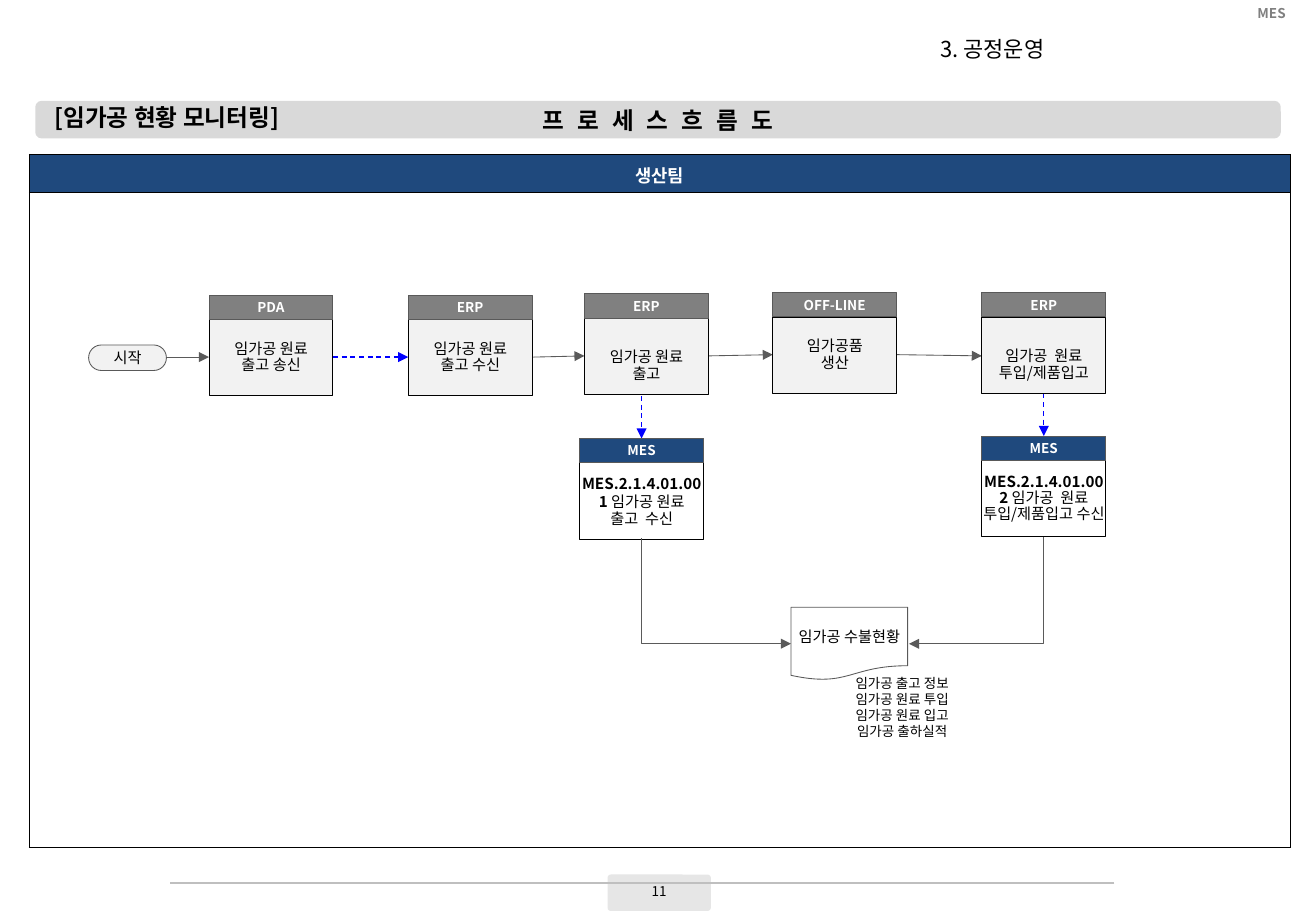
from dataclasses import dataclass
from typing import NamedTuple

from lxml.etree import SubElement
from pptx import Presentation
from pptx.dml.color import RGBColor
from pptx.enum.dml import MSO_LINE
from pptx.enum.shapes import MSO_CONNECTOR as Link, MSO_SHAPE as Preset
from pptx.enum.text import MSO_ANCHOR as Anchor, MSO_AUTO_SIZE, PP_ALIGN as Align
from pptx.oxml.ns import qn
from pptx.util import Pt

EMU_PER_PX = 9144  # 100 px to the inch


@dataclass(frozen=True)
class Theme:
    font: str = "Noto Sans CJK KR"
    black: str = "000000"
    white: str = "FFFFFF"
    navy: str = "1F497D"
    gray: str = "808080"
    pale: str = "F2F2F2"
    band: str = "D9D9D9"
    page_tab: str = "E6E6E6"
    rule: str = "BFBFBF"
    outline: str = "595959"
    arrow: str = "5A5A5A"
    signal: str = "0000FF"
    small: float = 8
    body: float = 9
    team: float = 10.5
    title: float = 13
    heading: float = 14


THEME = Theme()


class Box(NamedTuple):
    left: int
    top: int
    width: int
    height: int


class Step(NamedTuple):
    """A process card: system label above its description."""
    left: int
    top: int
    system: str
    lines: tuple[str, ...]
    code: str = ""
    first_spacing: float = 0.9
    inset_top: int = 5


class Arrow(NamedTuple):
    start: tuple[int, int]
    end: tuple[int, int]
    signal: bool = False


CARD_WIDTH, LABEL_HEIGHT, CARD_HEIGHT = 102, 20, 63

STEPS = [
    Step(172, 243, "PDA", ("임가공 원료", "출고 송신")),
    Step(336, 243, "ERP", ("임가공 원료", "출고 수신")),
    Step(481, 242, "ERP", ("임가공 원료", "출고"), inset_top=21),
    Step(636, 241, "OFF-LINE", ("임가공품", "생산")),
    Step(808, 241, "ERP", ("임가공  원료", "투입/제품입고"), inset_top=21),
    Step(477, 361, "MES", ("임가공 원료", "출고  수신"), "MES.2.1.4.01.001 ", 1.0),
    Step(808, 359, "MES", ("임가공  원료", "투입/제품입고 수신"), "MES.2.1.4.01.002 "),
]

ARROWS = [
    Arrow((137, 294), (172, 294)),
    Arrow((274, 294), (336, 294), signal=True),
    Arrow((439, 294), (481, 293)),
    Arrow((583, 293), (636, 292)),
    Arrow((738, 292), (808, 293)),
    Arrow((528, 326), (528, 361), signal=True),
    Arrow((859, 324), (859, 359), signal=True),
]

REPORT_ARROWS = [Arrow((528, 443), (651, 530)), Arrow((859, 442), (748, 530))]

REPORT_ITEMS = ("임가공 출고 정보", "임가공 원료 투입", "임가공 원료 입고", "임가공 출하실적")


def px(length: float) -> int:
    return round(length * EMU_PER_PX)


def rgb(color: str) -> RGBColor:
    return RGBColor.from_string(color)


def write_text(frame, *lines: str, size: float = THEME.body, color: str = THEME.black,
               bold: bool = False, align=Align.CENTER, anchor=Anchor.MIDDLE,
               margins: tuple[int, int, int, int] = (10, 5, 10, 5), wrap: bool = True,
               spacing: float | None = None, first_spacing: float | None = None,
               code: str = "", tracking: int = 0) -> None:
    frame.auto_size = MSO_AUTO_SIZE.NONE
    frame.word_wrap = wrap
    frame.vertical_anchor = anchor
    (frame.margin_left, frame.margin_top,
     frame.margin_right, frame.margin_bottom) = map(px, margins)
    for index, line in enumerate(lines):
        paragraph = frame.add_paragraph() if index else frame.paragraphs[0]
        paragraph.alignment = align
        paragraph.line_spacing = spacing if index else first_spacing or spacing
        parts = [(line, bold)]
        if code and index == 0:
            parts.insert(0, (code, True))
        for text, is_bold in parts:
            run = paragraph.add_run()
            run.text = text
            run.font.size, run.font.bold, run.font.name = Pt(size), is_bold, THEME.font
            run.font.color.rgb = rgb(color)
            properties = run._r.get_or_add_rPr()
            SubElement(properties, qn("a:ea"), typeface=THEME.font)
            if tracking:
                properties.set("spc", str(tracking))


def add_box(slide, preset, box: Box, fill: str, line: str | None = None):
    shape = slide.shapes.add_shape(preset, *map(px, box))
    shape.shadow.inherit = False
    shape.fill.solid()
    shape.fill.fore_color.rgb = rgb(fill)
    if line:
        shape.line.color.rgb = rgb(line)
        shape.line.width = Pt(0.5)
    else:
        shape.line.fill.background()
    return shape


def add_label(slide, box: Box, *lines: str, **text_format) -> None:
    write_text(slide.shapes.add_textbox(*map(px, box)).text_frame, *lines, **text_format)


def add_line(slide, start, end, color: str, width: float, kind=Link.STRAIGHT,
             dashed: bool = False, head: bool = True):
    connector = slide.shapes.add_connector(kind, *map(px, (*start, *end)))
    connector.line.color.rgb = rgb(color)
    connector.line.width = Pt(width)
    if dashed:
        connector.line.dash_style = MSO_LINE.DASH
    if head:
        SubElement(connector.line._get_or_add_ln(), qn("a:tailEnd"), type="triangle")
    SubElement(connector._element.spPr, qn("a:effectLst"))
    return connector


def add_arrow(slide, arrow: Arrow) -> None:
    color, width = (THEME.signal, 0.75) if arrow.signal else (THEME.arrow, 0.5)
    add_line(slide, arrow.start, arrow.end, color, width, dashed=arrow.signal)


def add_down_then_across(slide, arrow: Arrow) -> None:
    """One-bend connector: its frame is turned a quarter about its centre."""
    (x1, y1), (x2, y2) = arrow.start, arrow.end
    across, down = abs(x2 - x1), y2 - y1
    left, top = (x1 + x2 - down) / 2, (y1 + y2 - across) / 2
    connector = add_line(slide, (left, top), (left + down, top + across),
                         THEME.arrow, 0.5, kind=Link.ELBOW)
    properties = connector._element.spPr
    properties.find(qn("a:prstGeom")).set("prst", "bentConnector2")
    frame = properties.find(qn("a:xfrm"))
    frame.set("rot", str((270 if x2 > x1 else 90) * 60000))
    if x2 > x1:
        frame.set("flipH", "1")


def add_step(slide, step: Step) -> None:
    is_mes = step.system == "MES"
    card = add_box(slide, Preset.RECTANGLE,
                   Box(step.left, step.top + LABEL_HEIGHT, CARD_WIDTH, CARD_HEIGHT),
                   THEME.white if is_mes else THEME.pale, THEME.black)
    write_text(card.text_frame, *step.lines, margins=(0, step.inset_top, 0, 5),
               spacing=0.9, first_spacing=step.first_spacing, code=step.code)
    label = add_box(slide, Preset.RECTANGLE,
                    Box(step.left, step.top, CARD_WIDTH, LABEL_HEIGHT),
                    THEME.navy if is_mes else THEME.gray, THEME.outline)
    write_text(label.text_frame, step.system, size=THEME.small, color=THEME.white,
               bold=True, wrap=False)


def add_team_table(slide, box: Box, header_height: int) -> None:
    table = slide.shapes.add_table(2, 1, *map(px, box)).table
    heights = (header_height, box.height - header_height)
    for row, height, fill in zip(table.rows, heights, (THEME.navy, THEME.white)):
        row.height = px(height)
        cell = row.cells[0]
        properties = cell._tc.get_or_add_tcPr()
        for side in ("lnL", "lnR", "lnT", "lnB"):
            border = SubElement(properties, qn(f"a:{side}"), w=str(Pt(0.5)))
            SubElement(SubElement(border, qn("a:solidFill")), qn("a:srgbClr"), val=THEME.black)
        cell.fill.solid()
        cell.fill.fore_color.rgb = rgb(fill)
    header = table.cell(0, 0)
    write_text(header.text_frame, "생산팀", size=THEME.team, color=THEME.white,
               bold=True, spacing=1.1)
    header.text_frame.paragraphs[0].space_before = Pt(3)
    header.vertical_anchor = Anchor.MIDDLE
    header.margin_left = header.margin_right = px(5)
    header.margin_top = header.margin_bottom = 0


def main() -> None:
    presentation = Presentation()
    presentation.slide_width, presentation.slide_height = px(1083), px(750)
    slide = presentation.slides.add_slide(presentation.slide_layouts[5])

    # Page frame: system name, page number, heading band
    add_label(slide, Box(749, 4, 319, 13), "MES", size=THEME.small, color=THEME.gray,
              bold=True, align=Align.RIGHT, margins=(10, 0, 10, 0))
    page_tab = add_box(slide, Preset.ROUNDED_RECTANGLE, Box(500, 720, 85, 30), THEME.page_tab)
    page_tab.adjustments[0] = 0.09
    add_label(slide, Box(500, 722, 85, 24), "11", size=THEME.small, anchor=Anchor.TOP)
    band = add_box(slide, Preset.ROUNDED_RECTANGLE, Box(29, 83, 1025, 31), THEME.band)
    write_text(band.text_frame, "프 로 세 스 흐 름 도", size=THEME.heading, bold=True,
               tracking=230)
    add_line(slide, (917, 727), (140, 727), THEME.rule, 0.75, head=False)

    # Titles
    title = slide.shapes.title
    title.left, title.top, title.width, title.height = map(px, Box(764, 19, 319, 42))
    write_text(title.text_frame, "3. 공정운영", size=THEME.title, align=Align.LEFT)
    add_label(slide, Box(35, 80, 225, 34), "[임가공 현황 모니터링]", size=THEME.heading,
              bold=True, align=Align.LEFT, anchor=Anchor.TOP, wrap=False)

    # Process flow
    add_team_table(slide, Box(24, 127, 1038, 571), header_height=31)
    start = add_box(slide, Preset.FLOWCHART_TERMINATOR, Box(73, 284, 64, 21),
                    THEME.pale, THEME.outline)
    write_text(start.text_frame, "시작", wrap=False)
    for arrow in ARROWS:
        add_arrow(slide, arrow)
    for step in STEPS:
        add_step(slide, step)

    # Resulting report
    report = add_box(slide, Preset.FLOWCHART_DOCUMENT, Box(651, 500, 96, 60),
                     THEME.white, THEME.outline)
    write_text(report.text_frame, "임가공 수불현황", margins=(0, 5, 0, 5))
    add_label(slide, Box(678, 550, 129, 64), *REPORT_ITEMS, size=THEME.small)
    for arrow in REPORT_ARROWS:
        add_down_then_across(slide, arrow)

    presentation.save("out.pptx")


if __name__ == "__main__":
    main()
